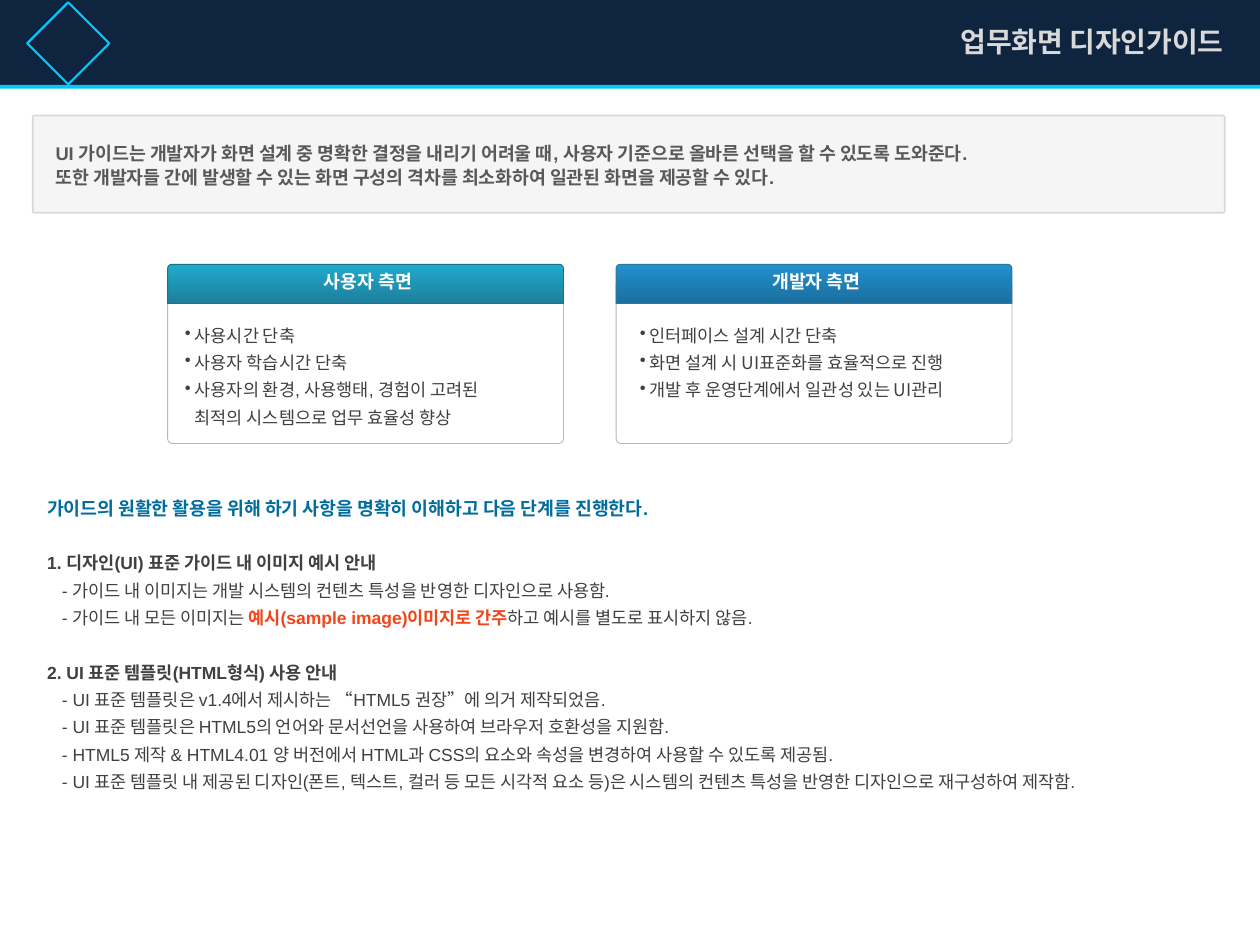
from lxml import etree
from pptx import Presentation, util as u
from pptx.dml.color import RGBColor
from pptx.enum import shapes, text
from pptx.oxml import ns

NAVY = RGBColor(0x0F, 0x24, 0x3E)
CYAN = RGBColor(0x03, 0xC6, 0xFF)
WHITE = RGBColor(0xFF, 0xFF, 0xFF)
PALE = RGBColor(0xF2, 0xF2, 0xF2)
SILVER = RGBColor(0xD9, 0xD9, 0xD9)
GRAY = RGBColor(0xB7, 0xB7, 0xB7)
SLATE = RGBColor(0x59, 0x59, 0x59)
INK = RGBColor(0x40, 0x40, 0x40)
BLUE = RGBColor(0x01, 0x6D, 0x9D)
ORANGE = RGBColor(0xF0, 0x46, 0x19)
TEAL_HEAD = (RGBColor(0x22, 0xAA, 0xCE), RGBColor(0x1B, 0x7F, 0x9B))
TEAL_EDGE = RGBColor(0x18, 0x72, 0x8A)
BLUE_HEAD = (RGBColor(0x23, 0x90, 0xCE), RGBColor(0x1A, 0x6F, 0x9E))
BLUE_EDGE = RGBColor(0x2A, 0x78, 0x9F)
ARIAL, NOTO = "Arial", "Noto Sans CJK KR"
SHAPE, ALIGN, ANCHOR = shapes.MSO_SHAPE, text.PP_ALIGN, text.MSO_ANCHOR


class Builder:
    def __init__(self, page):
        self.page = page
        self.base = {"name": ARIAL, "size": 10, "bold": False, "color": INK}

    def shape(self, kind, area, fill=None, line=None, weight=1, corners=(), turn=0):
        """Draw a preset shape; a pair of fill colours makes a downward gradient."""
        box = self.page.shapes.add_shape(kind, *map(u.Cm, area))
        box.shadow.inherit = False
        box.rotation = turn
        for index, value in enumerate(corners):
            box.adjustments[index] = value
        if fill is None:
            box.fill.background()
        elif isinstance(fill, RGBColor):
            box.fill.solid()
            box.fill.fore_color.rgb = fill
        else:
            box.fill.gradient()
            box.fill.gradient_angle = 270
            for stop, color in zip(box.fill.gradient_stops, fill):
                stop.color.rgb = color
        if line is None:
            box.line.fill.background()
        else:
            box.line.color.rgb = line
            box.line.width = u.Pt(weight)
        return box

    def fade(self, box, percent):
        """Set the opacity of a solid fill."""
        color = box._element.spPr.find(ns.qn("a:solidFill")).find(ns.qn("a:srgbClr"))
        etree.SubElement(color, ns.qn("a:alpha"), val=str(percent * 1000))

    def textbox(self, area, paras, inset=(0.25, 0.13, 0.25, 0.13)):
        box = self.page.shapes.add_textbox(*map(u.Cm, area))
        self.put_text(box, paras, inset)

    def put_text(self, box, paras, inset=(0.25, 0.13, 0.25, 0.13), anchor=ANCHOR.TOP):
        frame = box.text_frame
        left, top, right, bottom = map(u.Cm, inset)
        settings = {"word_wrap": True, "vertical_anchor": anchor, "margin_left": left,
                    "margin_top": top, "margin_right": right, "margin_bottom": bottom}
        for key, value in settings.items():
            setattr(frame, key, value)
        for index, (spans, layout) in enumerate(paras):
            para = frame.paragraphs[0] if index == 0 else frame.add_paragraph()
            self.arrange(para, **layout)
            for words, style in spans:
                self.span(para, words, style)

    def arrange(self, para, align=ALIGN.LEFT, spacing=1.0, before=0, indent=0, bullet=False):
        settings = {"alignment": align, "line_spacing": spacing, "space_before": u.Pt(before)}
        for key, value in settings.items():
            setattr(para, key, value)
        props = para._p.get_or_add_pPr()
        props.set("marL", str(u.Cm(indent)))
        props.set("indent", str(-u.Cm(indent) if bullet else 0))
        if bullet:
            etree.SubElement(props, ns.qn("a:buChar"), char="•")
        else:
            etree.SubElement(props, ns.qn("a:buNone"))

    def span(self, para, words, style):
        run = para.add_run()
        run.text = words
        values = {**self.base, **style}
        run.font.color.rgb = values.pop("color")
        values["size"] = u.Pt(values["size"])
        for key, value in values.items():
            setattr(run.font, key, value)

    def card(self, left, title, head, edge, items, list_left, font):
        """Draw a titled card; an item is (text, has a bullet)."""
        width = 7.98
        self.shape(SHAPE.ROUND_2_SAME_RECTANGLE, (left, 5.74, width, 3.2), WHITE, GRAY,
                   0.5, (0.03, 0), 180)
        top = self.shape(SHAPE.ROUND_2_SAME_RECTANGLE, (left, 5.33, width, 0.79), head, edge,
                         0.5, (0.1, 0))
        style = {"name": NOTO, "size": 10.5, "bold": True, "color": WHITE}
        self.put_text(top, [([(title, style)], {"align": ALIGN.CENTER, "spacing": 1.2})],
                      (0.2, 0, 0.1, 0.1))
        paras = [([(words, {"name": font})],
                  {"spacing": 1.3, "indent": 0.2, "bullet": bullet})
                 for words, bullet in items]
        self.textbox((list_left, 6.32, 7.6, 0.2 + 0.55 * len(items)), paras, (0.1,) * 4)


def header(builder):
    builder.shape(SHAPE.RECTANGLE, (0, 0, 25.4, 1.73), NAVY)
    builder.shape(SHAPE.RECTANGLE, (0.79, 0.29, 1.17, 1.17), line=CYAN, weight=1.25, turn=45)
    builder.shape(SHAPE.RECTANGLE, (0, 1.71, 25.4, 0.08), CYAN)
    style = {"size": 16, "bold": True, "color": SILVER}
    builder.textbox((16.92, 0.36, 8, 0.94),
                    [([("업무화면 디자인가이드", style)], {"align": ALIGN.RIGHT})])


def intro(builder):
    box = builder.shape(SHAPE.ROUNDED_RECTANGLE, (0.66, 2.33, 24.03, 1.96), PALE, SILVER,
                        corners=(0.02,))
    builder.fade(box, 76)
    style = {"size": 10.5, "bold": True, "color": SLATE}
    lines = ["UI 가이드는 개발자가 화면 설계 중 명확한 결정을 내리기 어려울 때, "
             "사용자 기준으로 올바른 선택을 할 수 있도록 도와준다.",
             "또한 개발자들 간에 발생할 수 있는 화면 구성의 격차를 최소화하여 "
             "일관된 화면을 제공할 수 있다."]
    paras = [([(line, style)], {"spacing": 1.1, "indent": 0.2}) for line in lines]
    builder.put_text(box, paras, anchor=ANCHOR.MIDDLE)


def notes(builder):
    bold = {"bold": True}
    lead = {"size": 10.5, "bold": True, "color": BLUE}
    sections = [
        ("1. 디자인(UI) 표준 가이드 내 이미지 예시 안내", [
            [("- 가이드 내 이미지는 개발 시스템의 컨텐츠 특성을 반영한 디자인으로 사용함.", {})],
            [("- 가이드 내 모든 이미지는 ", {}),
             ("예시(sample image)이미지로 간주", {"bold": True, "color": ORANGE}),
             ("하고 예시를 별도로 표시하지 않음.", {})]]),
        ("2. UI 표준 템플릿(HTML형식) 사용 안내", [
            [("- UI 표준 템플릿은 v1.4에서 제시하는 “HTML5 권장”에 의거 제작되었음.", {})],
            [("- UI 표준 템플릿은 HTML5의 언어와 문서선언을 사용하여 "
              "브라우저 호환성을 지원함.", {})],
            [("- HTML5 제작 & HTML4.01 양 버전에서 HTML과 CSS의 요소와 속성을 "
              "변경하여 사용할 수 있도록 제공됨.", {})],
            [("- UI 표준 템플릿 내 제공된 디자인(폰트, 텍스트, 컬러 등 모든 시각적 요소 등)은 "
              "시스템의 컨텐츠 특성을 반영한 디자인으로 재구성하여 제작함.", {})]]),
    ]
    paras = [([("가이드의 원활한 활용을 위해 하기 사항을 명확히 이해하고 "
                "다음 단계를 진행한다.", lead)], {"spacing": 1.3})]
    for title, items in sections:
        paras.append(([(title, bold)], {"spacing": 1.3, "before": 15.6}))
        paras += [(spans, {"spacing": 1.3, "indent": 0.3}) for spans in items]
    builder.textbox((0.7, 9.75, 24, 6.38), paras)


def main():
    deck = Presentation()
    deck.slide_width, deck.slide_height = u.Cm(25.4), u.Cm(19.05)
    builder = Builder(deck.slides.add_slide(deck.slide_layouts[6]))
    header(builder)
    notes(builder)
    intro(builder)
    builder.card(3.38, "사용자 측면", TEAL_HEAD, TEAL_EDGE, [
        ("사용시간 단축", True),
        ("사용자 학습시간 단축", True),
        ("사용자의 환경, 사용행태, 경험이 고려된", True),
        ("최적의 시스템으로 업무 효율성 향상", False)], 3.63, ARIAL)
    builder.card(12.42, "개발자 측면", BLUE_HEAD, BLUE_EDGE, [
        ("인터페이스 설계 시간 단축", True),
        ("화면 설계 시 UI표준화를 효율적으로 진행", True),
        ("개발 후 운영단계에서 일관성 있는 UI관리", True)], 12.8, NOTO)
    deck.save("out.pptx")


if __name__ == "__main__":
    main()
